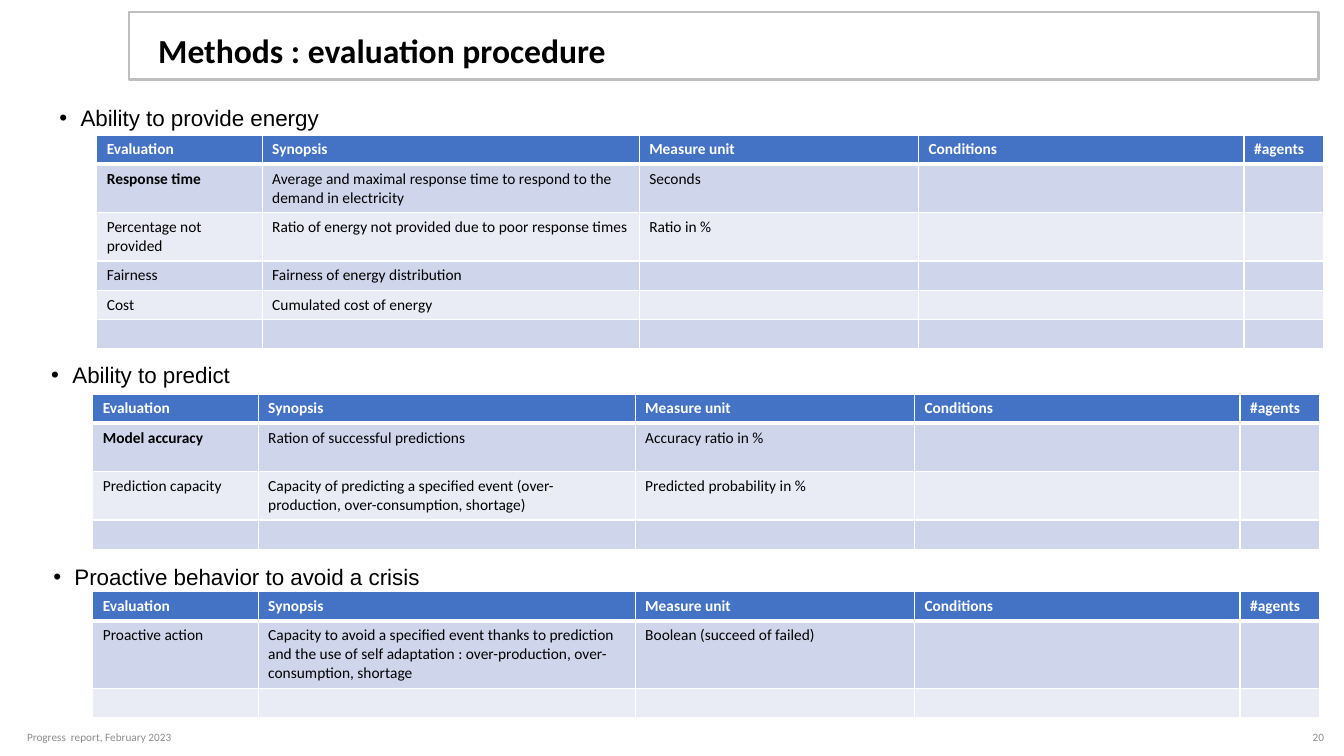
import pptx
import pptx.dml.color
import pptx.enum.shapes
import pptx.enum.text
import pptx.oxml.ns
import pptx.util
from lxml import etree

Inches, Pt, qn = pptx.util.Inches, pptx.util.Pt, pptx.oxml.ns.qn
RGB = pptx.dml.color.RGBColor
ANCHOR, ALIGN = pptx.enum.text.MSO_ANCHOR, pptx.enum.text.PP_ALIGN

BLACK = RGB(0x00, 0x00, 0x00)
WHITE = RGB(0xFF, 0xFF, 0xFF)
GREY = RGB(0x8C, 0x8C, 0x8C)
FRAME = RGB(0xBF, 0xBF, 0xBF)
HEADER = RGB(0x44, 0x72, 0xC4)
BANDS = [RGB(0xCF, 0xD5, 0xEA), RGB(0xE9, 0xEB, 0xF5)]

COLUMNS = [("Evaluation", 1.64), ("Synopsis", 3.74), ("Measure unit", 2.77),
           ("Conditions", 3.23), ("#agents", 0.79)]

# Each section: heading, heading box, table position, rows.
# Each row: lines of height, bold first cell, texts of the leading cells.
SECTIONS = [
    ("Ability to provide energy", (0.49, 1.01, 9.52, 0.49), (0.96, 1.34), [
        (2, True, ["Response time",
                   "Average and maximal response time to respond to the demand in electricity",
                   "Seconds"]),
        (2, False, ["Percentage not provided",
                    "Ratio of energy not provided due to poor response times",
                    "Ratio in %"]),
        (1, False, ["Fairness", "Fairness of energy distribution"]),
        (1, False, ["Cost", "Cumulated cost of energy"]),
        (1, False, [])]),
    ("Ability to predict", (0.41, 3.56, 9.52, 0.49), (0.92, 3.91), [
        (2, True, ["Model accuracy", "Ration of successful predictions",
                   "Accuracy ratio in %"]),
        (2, False, ["Prediction capacity",
                    "Capacity of predicting a specified event (over-production, "
                    "over-consumption, shortage)",
                    "Predicted probability in %"]),
        (1, False, [])]),
    ("Proactive behavior to avoid a crisis", (0.43, 5.57, 9.52, 0.49), (0.92, 5.87), [
        (3, False, ["Proactive action",
                    "Capacity to avoid a specified event thanks to prediction and the use "
                    "of self adaptation : over-production, over-consumption, shortage",
                    "Boolean (succeed of failed)"]),
        (1, False, [])]),
]


def add_run(p, text, size, color, bold=False, font="Calibri"):
    r = p.add_run()
    r.text = text
    r.font.name, r.font.size, r.font.bold = font, Pt(size), bold
    r.font.color.rgb = color


def add_textbox(s, box, anchor=ANCHOR.MIDDLE):
    tf = s.shapes.add_textbox(*map(Inches, box)).text_frame
    tf.word_wrap = True
    tf.vertical_anchor = anchor
    return tf.paragraphs[0]


def set_border(cell, widths):
    """Draw white borders; widths are points for left, right, top, bottom."""
    tc_pr = cell._tc.get_or_add_tcPr()
    for i, (side, width) in enumerate(zip("LRTB", widths)):
        ln = etree.Element(qn(f"a:ln{side}"), w=str(Pt(width)))
        fill = etree.SubElement(ln, qn("a:solidFill"))
        etree.SubElement(fill, qn("a:srgbClr"), val=str(WHITE))
        tc_pr.insert(i, ln)


def add_title(s, box):
    x, y, w, h = box
    p = add_textbox(s, (x + 0.19, y + 0.16, w - 0.38, h - 0.19))
    p.line_spacing = 0.9
    add_run(p, "Methods : evaluation procedure", 24, BLACK, bold=True)
    frame = s.shapes.add_shape(pptx.enum.shapes.MSO_SHAPE.RECTANGLE, *map(Inches, box))
    frame.shadow.inherit = False
    frame.fill.background()
    frame.line.color.rgb = FRAME
    frame.line.width = Pt(2)


def add_heading(s, box, text):
    p = add_textbox(s, box, ANCHOR.TOP)
    p.line_spacing = 0.9
    p.space_before = Pt(8.4)
    p_pr = p._p.get_or_add_pPr()
    p_pr.set("marL", str(Inches(0.21)))
    p_pr.set("indent", str(Inches(-0.21)))
    etree.SubElement(p_pr, qn("a:buFont"), typeface="Arial")
    etree.SubElement(p_pr, qn("a:buChar"), char="•")
    add_run(p, text, 16, BLACK, font="Arial")


def add_evaluation_table(s, position, body):
    rows = [(1, True, [name for name, _ in COLUMNS])] + body
    heights = [0.1 + 0.19 * lines for lines, _, _ in rows]
    widths = [w for _, w in COLUMNS]
    size = (sum(widths), sum(heights))
    table = s.shapes.add_table(len(rows), len(COLUMNS),
                               *map(Inches, position + size)).table
    for column, w in zip(table.columns, widths):
        column.width = Inches(w)
    for i, (_, bold, texts) in enumerate(rows):
        table.rows[i].height = Inches(heights[i])
        for j, cell in enumerate(table.rows[i].cells):
            cell.fill.solid()
            cell.fill.fore_color.rgb = BANDS[(i - 1) % 2] if i else HEADER
            # The rule under the header is thicker
            set_border(cell, (1, 1, 3 if i == 1 else 1, 3 if i == 0 else 1))
            p = cell.text_frame.paragraphs[0]
            if j < len(texts):
                add_run(p, texts[j], 11, BLACK if i else WHITE,
                        bold and (i == 0 or j == 0))
            else:
                # Keeps empty rows at the height of one text line
                etree.SubElement(p._p, qn("a:endParaRPr"), sz="1100")


def add_footer(s, box):
    x, y, w, h = box
    add_run(add_textbox(s, (x, y, 2.66, h)), "Progress  report, February 2023", 8, GREY)
    p = add_textbox(s, (x + w - 0.52, y, 0.52, h))
    p.alignment = ALIGN.RIGHT
    add_run(p, "20", 8, GREY)


def main():
    prs = pptx.Presentation()
    prs.slide_width, prs.slide_height = Inches(13.33), Inches(7.5)
    s = prs.slides.add_slide(prs.slide_layouts[6])
    add_title(s, (1.28, 0.12, 11.8, 0.67))
    for heading, box, position, body in SECTIONS:
        add_evaluation_table(s, position, body)
        add_heading(s, box, heading)
    add_footer(s, (0.17, 7.16, 13.06, 0.31))
    prs.save("out.pptx")


if __name__ == "__main__":
    main()
